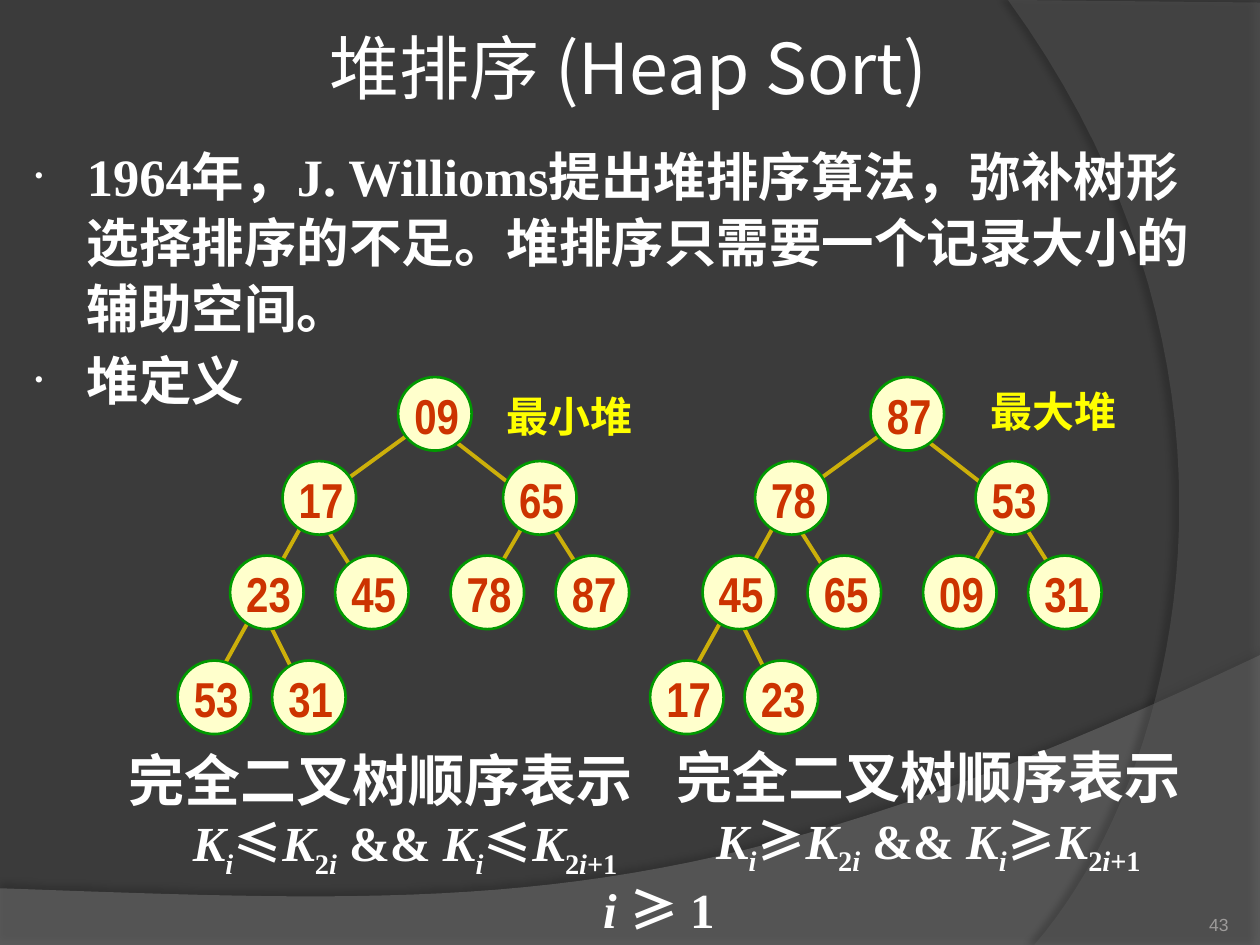
from lxml import etree
from pptx import Presentation
from pptx.dml.color import RGBColor
from pptx.enum.shapes import MSO_CONNECTOR, MSO_SHAPE
from pptx.enum.text import MSO_ANCHOR, MSO_AUTO_SIZE, PP_ALIGN
from pptx.oxml.ns import qn
from pptx.util import Pt

LEFT, CENTER, RIGHT = PP_ALIGN.LEFT, PP_ALIGN.CENTER, PP_ALIGN.RIGHT
TOP, MIDDLE, BOTTOM = MSO_ANCHOR.TOP, MSO_ANCHOR.MIDDLE, MSO_ANCHOR.BOTTOM
OVAL, STRAIGHT = MSO_SHAPE.OVAL, MSO_CONNECTOR.STRAIGHT

COLORS = {"background": "3B3B3B", "wave": "7F7F7F", "arc": "5E5E5E",
          "text": "FFFFFF", "caption": "FFFF00", "page": "9D9B9A",
          "node": "FFFFCC", "ring": "009900", "key": "CC3300",
          "edge": "CCAF0A", "shadow": "000000"}
SERIF, CJK, TITLE_FONT = "Times New Roman", "Noto Sans CJK SC", "Noto Sans CJK JP"


def rgb(name):
    return RGBColor.from_string(COLORS[name])


def add_xml(parent, tag, **attributes):
    return etree.SubElement(parent, qn(tag), {k: str(v) for k, v in attributes.items()})


def bezier(p0, p1, p2, p3, steps=40):
    for n in range(1, steps + 1):
        t = n / steps
        u = 1 - t
        yield tuple(u**3 * a + 3 * u * u * t * b + 3 * u * t * t * c + t**3 * d
                    for a, b, c, d in zip(p0, p1, p2, p3))


class HeapSlide:
    def __init__(self, presentation):
        self.slide = presentation.slides.add_slide(presentation.slide_layouts[1])
        self.shapes = self.slide.shapes
        self.slide.background.fill.solid()
        self.slide.background.fill.fore_color.rgb = rgb("background")

    def run(self, paragraph, text, size, color="text", font=SERIF, bold=True,
            italic=False, sub=False):
        run = paragraph.add_run()
        run.text = text
        run.font.size, run.font.name = Pt(size), font
        run.font.bold, run.font.italic = bold, italic
        run.font.color.rgb = rgb(color)
        properties = run.font._element
        add_xml(properties, "a:ea", typeface=TITLE_FONT if font == TITLE_FONT else CJK)
        if font == CJK:
            add_xml(properties, "a:sym", typeface=CJK)
        if sub:
            properties.set("baseline", "-25000")

    def frame(self, shape, anchor=TOP, wrap=True, insets=None):
        frame = shape.text_frame
        frame.auto_size = MSO_AUTO_SIZE.NONE
        frame.word_wrap, frame.vertical_anchor = wrap, anchor
        if insets:
            (frame.margin_left, frame.margin_top,
             frame.margin_right, frame.margin_bottom) = map(Pt, insets)
        return frame

    def place(self, shape, box):
        shape.left, shape.top, shape.width, shape.height = map(Pt, box)

    def title(self, text, box):
        shape = self.shapes.title
        self.place(shape, box)
        paragraph = self.frame(shape, MIDDLE, insets=(3.6,) * 4).paragraphs[0]
        paragraph.alignment = CENTER
        self.run(paragraph, text, 40, font=TITLE_FONT, bold=False)

    def bullets(self, items, box):
        shape = self.slide.placeholders[1]
        self.place(shape, box)
        frame = self.frame(shape)
        for n, item in enumerate(items):
            paragraph = frame.add_paragraph() if n else frame.paragraphs[0]
            paragraph.alignment = LEFT
            paragraph.line_spacing, paragraph.space_before = 1.05, Pt(3)
            properties = paragraph._p.get_or_add_pPr()
            properties.set("marL", str(Pt(33)))
            properties.set("indent", str(-Pt(30)))
            add_xml(add_xml(properties, "a:buClr"), "a:srgbClr", val=COLORS["text"])
            add_xml(properties, "a:buSzPct", val=50000)
            add_xml(properties, "a:buFont", typeface=SERIF)
            add_xml(properties, "a:buChar", char="•")
            self.run(paragraph, item, 30)

    def text(self, box, lines, align=CENTER, anchor=TOP, wrap=True, insets=None, indent=0):
        """Each line is a list of (text, style) runs; indent moves the last line."""
        shape = self.shapes.add_textbox(*map(Pt, box))
        frame = self.frame(shape, anchor, wrap, insets)
        for n, runs in enumerate(lines):
            paragraph = frame.add_paragraph() if n else frame.paragraphs[0]
            paragraph.alignment = align
            for text, style in runs:
                self.run(paragraph, text, **style)
        if indent:
            paragraph._p.get_or_add_pPr().set("marL", str(Pt(indent)))

    def node(self, key, x, y):
        shape = self.shapes.add_shape(OVAL, Pt(x), Pt(y), Pt(42), Pt(42))
        shape.shadow.inherit = False
        shape.fill.solid()
        shape.fill.fore_color.rgb = rgb("node")
        shape.line.color.rgb, shape.line.width = rgb("ring"), Pt(1.5)
        paragraph = self.frame(shape, MIDDLE, False, (2, 1, 0, 0)).paragraphs[0]
        paragraph.alignment = CENTER
        self.run(paragraph, key, 28, "key", "Arial Narrow")

    def edge(self, x1, y1, x2, y2):
        line = self.shapes.add_connector(STRAIGHT, Pt(x1), Pt(y1), Pt(x2), Pt(y2))
        line.line.color.rgb, line.line.width = rgb("edge"), Pt(2.25)
        add_xml(line._element.spPr, "a:effectLst")

    def backdrop(self, points, color, alpha, depth, shadow_alpha, distance, angle):
        builder = self.shapes.build_freeform(*map(Pt, points[0]), scale=1.0)
        builder.add_line_segments([(Pt(x), Pt(y)) for x, y in points[1:]], close=True)
        shape = builder.convert_to_shape()
        shape.fill.solid()
        shape.fill.fore_color.rgb = rgb(color)
        shape.line.fill.background()
        properties = shape._element.spPr
        add_xml(properties.find(".//" + qn("a:srgbClr")), "a:alpha", val=alpha * 1000)
        shadow = add_xml(add_xml(properties, "a:effectLst"), "a:outerShdw", blurRad=Pt(4),
                         dist=Pt(distance), dir=angle * 60000, rotWithShape=0)
        tint = add_xml(shadow, "a:srgbClr", val=COLORS["shadow"])
        add_xml(tint, "a:alpha", val=shadow_alpha * 1000)
        self.shapes._spTree.insert(2 + depth, shape._element)


prs = Presentation()
prs.slide_width, prs.slide_height = Pt(720), Pt(540)
page = HeapSlide(prs)

# Background bands
wave = [(0, 507.6), (0, 540.5), (720, 540.5), (720, 374.4),
        *bezier((720, 374.4), (402.5, 524.9), (281.5, 517.7), (0, 507.6))]
arc = [(720, 1.5), (720, 540), (591, 540),
       *bezier((591, 540), (673, 445.5), (733, 216), (576, 0))]
page.backdrop(wave, "wave", 45, 0, 35, 3.5, 270)
page.backdrop(arc, "arc", 40, 1, 45, 4, 180)

# Title and list
page.title("堆排序 (Heap Sort)", (173, 0, 372, 75.5))
page.bullets(["1964年，J. Willioms提出堆排序算法，弥补树形选择排序的不足。"
              "堆排序只需要一个记录大小的辅助空间。", "堆定义"], (9.5, 77, 701, 433.5))

# Heap conditions
HEADING = {"size": 32}
PLAIN = {"size": 28}
ITALIC = {"size": 28, "italic": True}
SUB = {"size": 28, "sub": True}
SUB_ITALIC = {**ITALIC, "sub": True}
OPERATOR = {"size": 28, "font": CJK}


def condition(sign):
    start = [("K", ITALIC), ("i", SUB_ITALIC), (sign, OPERATOR),
             ("K", ITALIC), ("2", SUB), ("i", SUB_ITALIC)]
    return start + [(" && ", PLAIN)] + start + [("+1", SUB)]


for x, y, sign, indent in ((64, 422.5, "≤", 28), (377, 421, "≥", 0)):
    page.text((x, y, 307, 80), [[("完全二叉树顺序表示", HEADING)], condition(sign)],
              wrap=False, indent=indent)

# Heaps: node corners in level order, shared by both trees
NODES = [(227.5, 215.5), (161.5, 263.5), (287.5, 263.5), (131.5, 317.5), (191.5, 317.5),
         (257.5, 317.5), (317.5, 317.5), (101.5, 377.5), (155.5, 377.5)]
EDGES = [(179.5, 287.5, 119.5, 395.5), (299.5, 299.5, 275, 341.5),
         (311, 293.5, 341.5, 341.5), (185, 299.5, 215.5, 347.5),
         (155.5, 359.5, 179.5, 407.5), (251.5, 245.5, 305.5, 287.5),
         (245.5, 239.5, 179.5, 287.5)]
MIN_HEAP = "09 17 65 23 45 78 87 53 31".split()
MAX_HEAP = "87 78 53 45 65 09 31 17 23".split()
for shift, heap in ((0, MIN_HEAP), (270, MAX_HEAP)):
    for x1, y1, x2, y2 in EDGES:
        page.edge(x1 + shift, y1, x2 + shift, y2)
    for key, (x, y) in zip(heap, NODES):
        page.node(key, x + shift, y)

# Captions, index range and page number
CAPTION = {"size": 24, "color": "caption"}
page.text((276.5, 219.5, 98, 36), [[("最小堆", CAPTION)]])
page.text((553, 216.5, 98, 36), [[("最大堆", CAPTION)]])
page.text((337, 499, 79, 41), [[("i ", ITALIC), ("≥", OPERATOR), (" 1", PLAIN)]], wrap=False)
page.text((642, 505.5, 60, 29),
          [[("43", {"size": 10, "color": "page", "font": "Arial", "bold": False})]],
          align=RIGHT, anchor=BOTTOM, insets=(0,) * 4)

prs.save("out.pptx")
